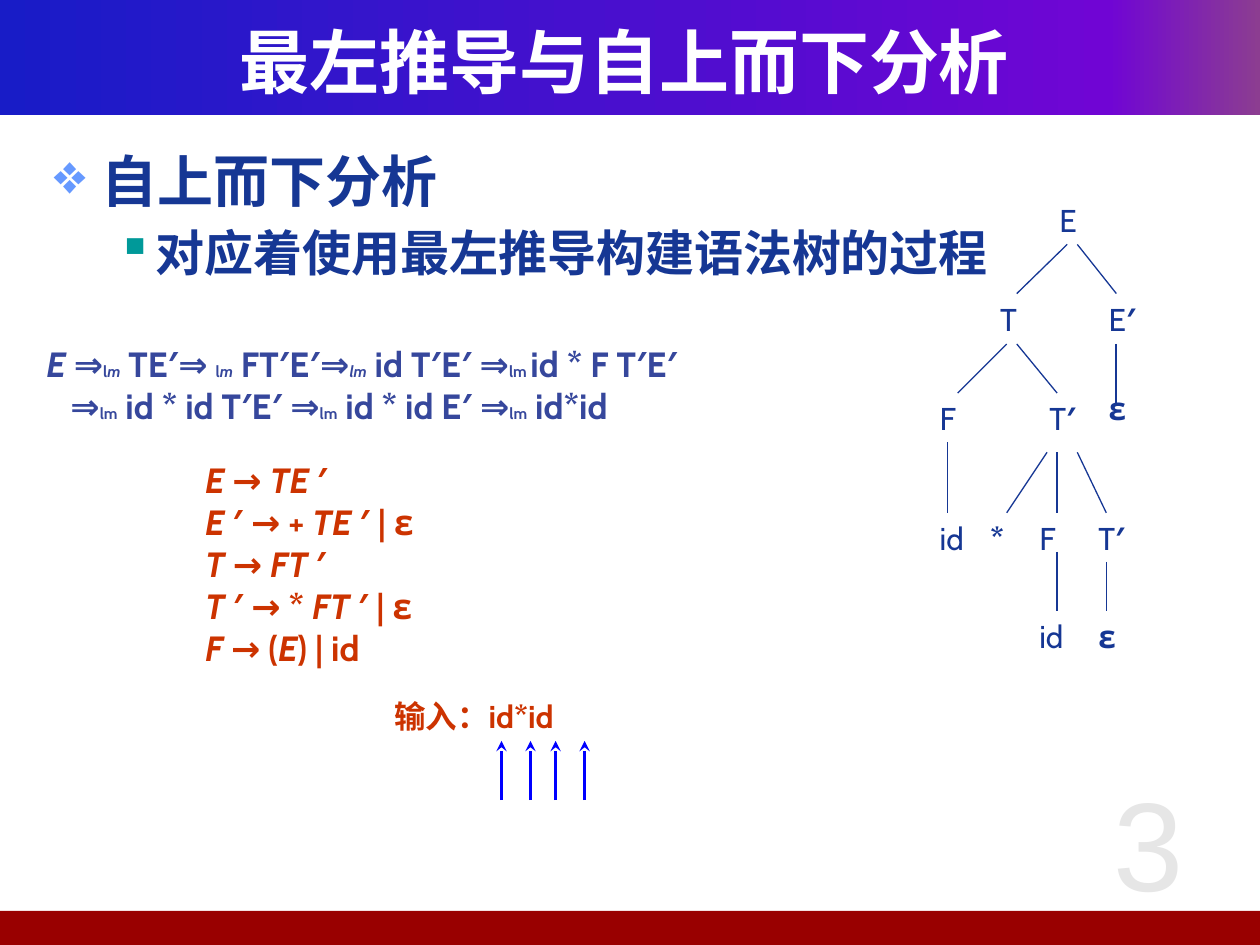
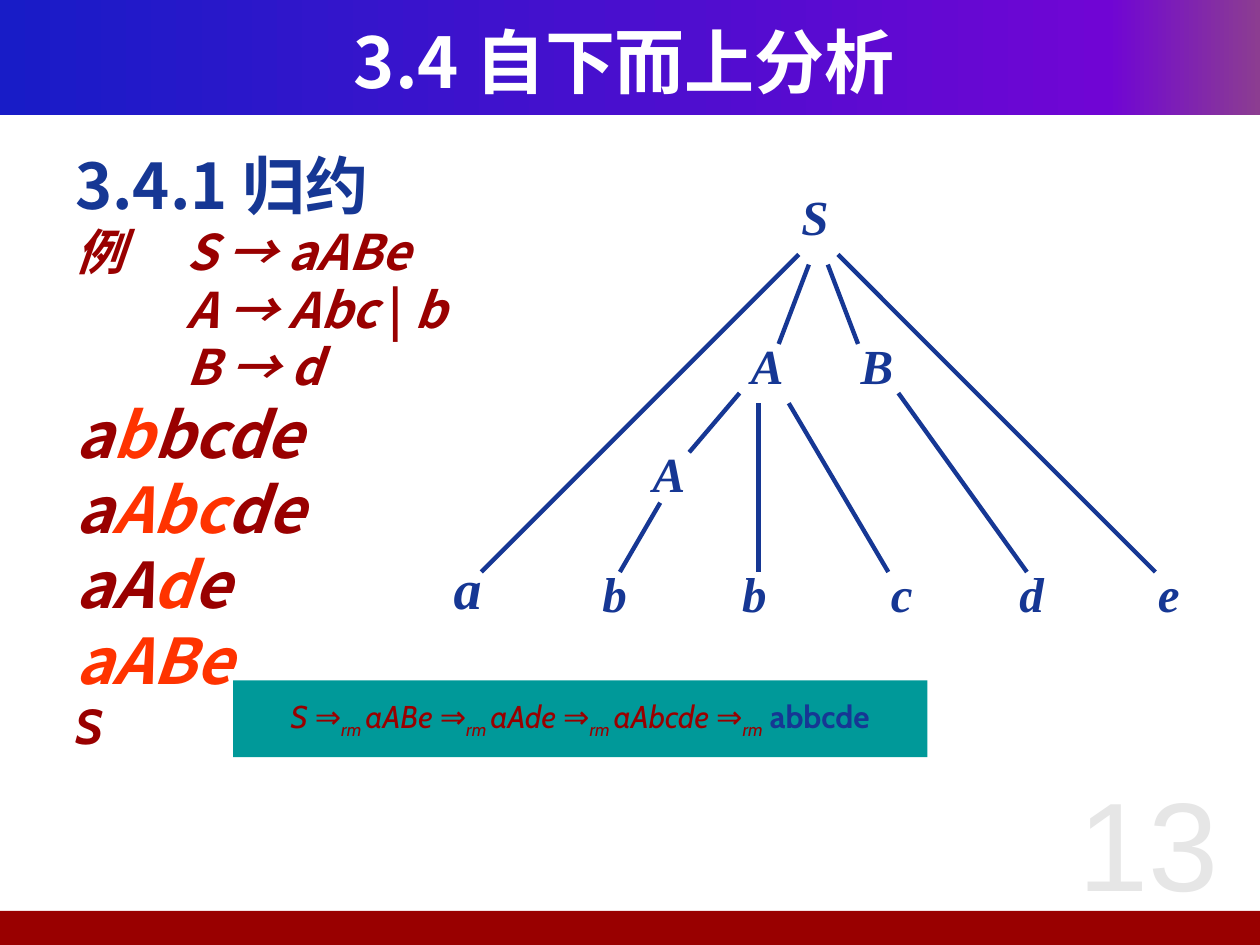
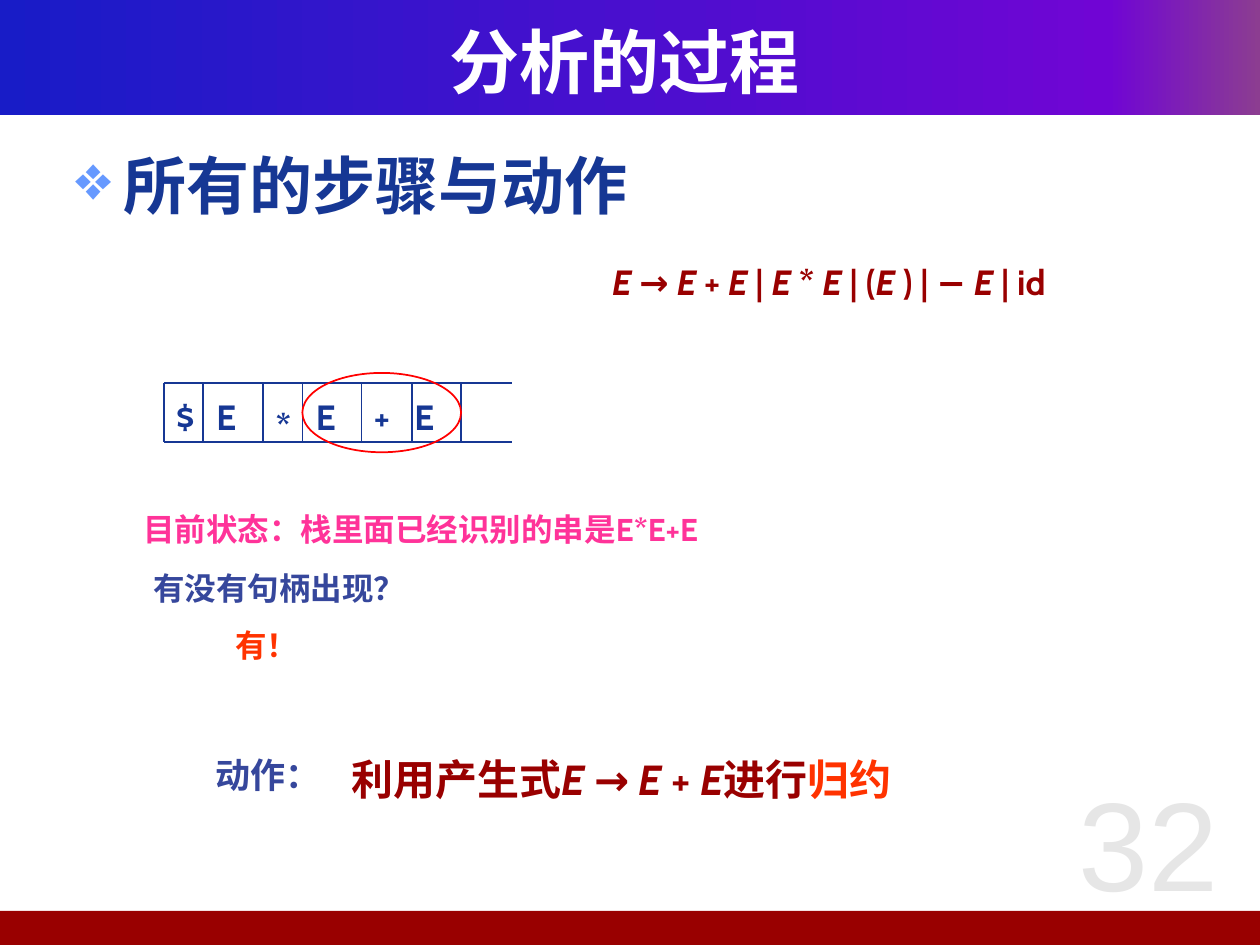
import copy

import pptx
import pptx.dml.color
import pptx.enum.shapes
import pptx.enum.text
import pptx.oxml.ns
import pptx.util
from lxml import etree

Inches = pptx.util.Inches
Pt = pptx.util.Pt
RGBColor = pptx.dml.color.RGBColor
qn = pptx.oxml.ns.qn
Align = pptx.enum.text.PP_ALIGN
Anchor = pptx.enum.text.MSO_ANCHOR
Shape = pptx.enum.shapes.MSO_SHAPE

WHITE = RGBColor(0xFF, 0xFF, 0xFF)
NAVY = RGBColor(0x16, 0x37, 0x94)
SLATE = RGBColor(0x36, 0x47, 0x9C)
BLUE = RGBColor(0x00, 0x00, 0xFF)
RED = RGBColor(0xFF, 0x00, 0x00)
DARK_RED = RGBColor(0x99, 0x00, 0x00)
RUST = RGBColor(0xCC, 0x33, 0x00)
ORANGE = RGBColor(0xFF, 0x33, 0x00)
PINK = RGBColor(0xFF, 0x33, 0x99)
TEAL = RGBColor(0x00, 0x99, 0x99)
SKY = RGBColor(0x66, 0x99, 0xFF)
PALE_GRAY = RGBColor(0xE6, 0xE6, 0xE6)
BAND_STOPS = [
    (0, RGBColor(0x18, 0x1C, 0xC7)),
    (0.88, RGBColor(0x70, 0x05, 0xD4)),
    (1, RGBColor(0x8C, 0x3D, 0x91)),
]

CJK = "Noto Sans CJK SC"
LATIN = "Cabin"
TITLE_FONT = {"name": CJK, "size": 40, "color": WHITE, "bold": True}
NUMBER_FONT = {"name": "Arial", "size": 72, "color": PALE_GRAY}
BODY_FONT = {"name": CJK, "size": 36, "color": NAVY, "bold": True}
NOTE_FONT = {"name": LATIN, "size": 18, "color": NAVY, "bold": True}
RULE_FONT = {"name": LATIN, "size": 20, "color": NAVY, "bold": True}
NODE_FONT = {"name": "Times New Roman", "size": 28, "color": NAVY, "bold": True, "italic": True}


def add_text(slide, box, paragraphs, font, align=Align.LEFT, anchor=Anchor.TOP,
             margins=(0.1, 0.05), fill=None):
    """Each paragraph is a list of strings or (string, font changes); "_" toggles italic."""
    place = [Inches(length) for length in box]
    if fill is None:
        shape = slide.shapes.add_textbox(*place)
    else:
        shape = slide.shapes.add_shape(Shape.RECTANGLE, *place)
        shape.shadow.inherit = False
        shape.fill.solid()
        shape.fill.fore_color.rgb = fill
        shape.line.fill.background()
    frame = shape.text_frame
    frame.word_wrap = True
    frame.vertical_anchor = anchor
    frame.margin_left = frame.margin_right = Inches(margins[0])
    frame.margin_top = frame.margin_bottom = Inches(margins[1])
    for index, pieces in enumerate(paragraphs):
        paragraph = frame.add_paragraph() if index else frame.paragraphs[0]
        paragraph.alignment = align
        for piece in pieces:
            text, changes = (piece, {}) if isinstance(piece, str) else piece
            look = {"bold": False, "italic": False, **font, **changes}
            for toggle, part in enumerate(text.split("_")):
                if not part:
                    continue
                run = paragraph.add_run()
                run.text = part
                values = {"name": look["name"], "size": Pt(look["size"]), "bold": look["bold"],
                          "italic": look["italic"] != bool(toggle % 2)}
                for attribute, value in values.items():
                    setattr(run.font, attribute, value)
                run.font.color.rgb = look["color"]
                properties = run._r.get_or_add_rPr()
                etree.SubElement(properties, qn("a:ea"), typeface=CJK)
                if "baseline" in look:
                    properties.set("baseline", str(look["baseline"]))
    return shape


def add_line(slide, start, end, color=NAVY, width=0.75, arrow=False):
    line = slide.shapes.add_connector(
        pptx.enum.shapes.MSO_CONNECTOR.STRAIGHT,
        *[Inches(length) for length in (*start, *end)])
    line.line.color.rgb = color
    line.line.width = Pt(width)
    if arrow:
        etree.SubElement(line.line._get_or_add_ln(), qn("a:tailEnd"), type="stealth")
    etree.SubElement(line._element.spPr, qn("a:effectLst"))


presentation = pptx.Presentation()
presentation.slide_width = Inches(10)
presentation.slide_height = Inches(7.5)

# Body rows: pieces, size, left margin, hanging indent, bullet, bullet colour
EXAMPLE = {"color": DARK_RED, "italic": True}
HANDLE = {"color": ORANGE, "italic": True}
example_rows = [
    ([("例\tS → aABe", EXAMPLE)], 28),
    ([("\t\tA → Abc _|_ b", EXAMPLE)], 28),
    ([("\t\tB → d", EXAMPLE)], 28),
    ([("a", EXAMPLE), ("b", HANDLE), ("bcde", EXAMPLE)], 36),
    ([("a", EXAMPLE), ("Abc", HANDLE), ("de", EXAMPLE)], 36),
    ([("aA", EXAMPLE), ("d", HANDLE), ("e", EXAMPLE)], 36),
    ([("aABe", HANDLE)], 36),
    ([("S", {**EXAMPLE, "name": LATIN})], 28),
]
contents = [
    ("3", "最左推导与自上而下分析", 0.33, [
        (["自上而下分析"], 32, 0.38, 0.38, "❖", SKY),
        (["对应着使用最左推导构建语法树的过程"], 28, 0.81, 0.31, "▪", TEAL),
    ]),
    ("13", "3.4 自下而上分析", 0.5,
     [(pieces, size, 0.38, 0.38, None, None)
      for pieces, size in [(["3.4.1 归约"], 36), *example_rows]]),
    ("32", "分析的过程", 0.5, [(["所有的步骤与动作"], 36, 0.38, 0.38, "❖", SKY)]),
]

slides = []
for number, title, body_left, rows in contents:
    slide = presentation.slides.add_slide(presentation.slide_layouts[6])
    slides.append(slide)
    slide.background.fill.solid()
    slide.background.fill.fore_color.rgb = WHITE

    band = slide.shapes.add_shape(Shape.RECTANGLE, 0, 0, Inches(10), Inches(0.91))
    footer = slide.shapes.add_shape(
        Shape.RECTANGLE, Inches(-0.04), Inches(7.23), Inches(10.04), Inches(0.27))
    for shape in (band, footer):
        shape.shadow.inherit = False
        shape.line.fill.background()
    footer.fill.solid()
    footer.fill.fore_color.rgb = DARK_RED
    band.fill.gradient()
    band.fill.gradient_angle = 0
    stop_list = band._element.spPr.find(".//" + qn("a:gsLst"))
    stop_list.append(copy.deepcopy(stop_list[1]))
    for stop, (position, color) in zip(band.fill.gradient_stops, BAND_STOPS):
        stop.position = position
        stop.color.rgb = color

    add_text(slide, (8.23, 6.03, 1.77, 1.42), [[number]], NUMBER_FONT, Align.CENTER)
    add_text(slide, (0.33, 0.17, 9.25, 0.62), [[title]], TITLE_FONT, Align.CENTER, Anchor.MIDDLE)

    paragraphs = [[(piece, {"size": row[1]}) if isinstance(piece, str)
                   else (piece[0], {"size": row[1], **piece[1]}) for piece in row[0]]
                  for row in rows]
    body = add_text(slide, (body_left, 1.12, 9, 5.69), paragraphs, BODY_FONT)
    for index, (paragraph, row) in enumerate(zip(body.text_frame.paragraphs, rows)):
        _, size, margin, hanging, bullet, bullet_color = row
        paragraph.line_spacing = Pt(round(1.19 * size))
        if bullet and index:
            paragraph.space_before = Pt(0.2 * size)
        properties = paragraph._p.get_or_add_pPr()
        properties.set("marL", str(Inches(margin)))
        properties.set("indent", str(-Inches(hanging)))
        if bullet:
            color = etree.SubElement(properties, qn("a:buClr"))
            etree.SubElement(color, qn("a:srgbClr"), val=str(bullet_color))
            etree.SubElement(properties, qn("a:buChar"), char=bullet)
        else:
            etree.SubElement(properties, qn("a:buNone"))

top_down, bottom_up, process = slides

# Top-down analysis: grammar, leftmost derivation, input and syntax tree
grammar = ["_E _→ _TE _′", "_E _′ → + _TE _′ | ε", "_T _→ _FT _′",
           "_T _′ → * _FT _′ | ε", "_F _→ (_E_) | id"]
add_text(top_down, (1.53, 3.59, 2.56, 1.77), [[rule] for rule in grammar],
         {**RULE_FONT, "color": RUST})
add_text(top_down, (3.03, 5.48, 1.77, 0.4), [["输入：id*id"]], {**NOTE_FONT, "color": RUST})

SMALL = {"size": 9}
derivation = add_text(top_down, (0.27, 2.67, 6.12, 0.77), [
    ["_E _⇒", ("l_m_", SMALL), " TE′⇒ ", ("l_m_", SMALL), " FT′E′⇒", ("_lm_", SMALL),
     " id T′E′ ⇒", ("lm ", SMALL), "id * F T′E′"],
    ["⇒", ("lm", SMALL), " id * id T′E′ ⇒", ("lm", SMALL), " id * id E′ ⇒",
     ("lm", SMALL), " id*id"],
], {**RULE_FONT, "color": SLATE})
derivation.text_frame.paragraphs[1]._p.get_or_add_pPr().set("marL", str(Inches(0.19)))

syntax_nodes = [
    (["E"], 8.31, 1.55), (["T"], 7.84, 2.33), (["E", "′"], 8.7, 2.33),
    (["F"], 7.36, 3.12), (["T", "′"], 8.23, 3.12), (["ε"], 8.7, 3.04),
    (["id"], 7.36, 4.07), (["*"], 7.76, 4.07), (["F"], 8.15, 4.07), (["T", "′"], 8.62, 4.07),
    (["id"], 8.15, 4.85), (["ε"], 8.62, 4.85),
]
for parts, left, top in syntax_nodes:
    pieces = [(part, {"bold": part in "′ε*"}) for part in parts]
    add_text(top_down, (left, top, 0.47, 0.4), [pieces], NOTE_FONT)

syntax_branches = [
    ((8.47, 1.94), (8.07, 2.33)), ((8.55, 1.94), (8.86, 2.33)),
    ((7.99, 2.73), (7.6, 3.12)), ((8.07, 2.73), (8.39, 3.12)),
    ((7.52, 3.51), (7.52, 4.07)), ((8.31, 3.59), (7.99, 4.07)),
    ((8.39, 3.59), (8.39, 4.07)), ((8.55, 3.59), (8.78, 4.07)),
    ((8.39, 4.38), (8.39, 4.85)), ((8.78, 4.46), (8.78, 4.85)),
]
for start, end in syntax_branches:
    add_line(top_down, start, end)
add_line(top_down, (8.86, 2.73), (8.86, 3.2), width=1)
for x in (3.98, 4.21, 4.41, 4.64):
    add_line(top_down, (x, 6.35), (x, 5.88), BLUE, 2, arrow=True)

# Bottom-up analysis: reduction tree and rightmost derivation
reduction_nodes = [
    ("S", 6.34, 1.47), ("A", 5.94, 2.65), ("B", 6.81, 2.65), ("A", 5.16, 3.51),
    ("a", 3.58, 4.38), ("b", 4.76, 4.46), ("b", 5.87, 4.46), ("c", 7.05, 4.46),
    ("d", 8.07, 4.46), ("e", 9.17, 4.46),
]
for letter, left, top in reduction_nodes:
    size = 32 if letter == "a" else 28
    add_text(bottom_up, (left, top, 0.45, 0.55), [[letter]], {**NODE_FONT, "size": size},
             margins=(0.02, 0.01))

reduction_branches = [
    ((6.34, 2.02), (3.82, 4.54)), ((6.65, 2.02), (9.17, 4.54)),
    ((6.42, 2.1), (6.18, 2.73)), ((6.57, 2.1), (6.81, 2.73)),
    ((5.87, 3.12), (5.47, 3.59)), ((6.02, 3.2), (6.02, 4.54)),
    ((6.26, 3.2), (7.05, 4.54)), ((7.13, 3.12), (8.15, 4.54)),
    ((5.24, 3.99), (4.92, 4.54)),
]
for start, end in reduction_branches:
    add_line(bottom_up, start, end, width=2.5)

steps = ["S ⇒"]
for form in ("aABe ⇒", "aAde ⇒", "aAbcde ⇒"):
    steps += [("rm ", {"baseline": -25000}), form]
steps += [("rm", {"baseline": -25000}),
          (" abbcde", {"color": NAVY, "bold": True, "italic": False})]
add_text(bottom_up, (1.85, 5.4, 5.51, 0.61), [steps],
         {**NOTE_FONT, "color": DARK_RED, "bold": False, "italic": True},
         Align.CENTER, Anchor.MIDDLE, fill=TEAL)

# Parsing process: stack, handle and action
stack_symbols = [("$", 1.3, 3.09), ("E", 1.62, 3.09), ("*", 2.09, 3.16),
                 ("E", 2.41, 3.09), ("+", 2.87, 3.09), ("E", 3.19, 3.09)]
for symbol, left, top in stack_symbols:
    add_text(process, (left, top, 0.4, 0.43), [[symbol]], RULE_FONT)
for y in (3.04, 3.51):
    add_line(process, (1.3, y), (4.06, y), width=1)
for x in (1.3, 1.61, 2.09, 2.4, 2.87, 3.27, 3.66):
    add_line(process, (x, 3.04), (x, 3.51), width=1)

process_notes = [
    ("目前状态：栈里面已经识别的串是E*E+E", (1.04, 4, 4.9, 0.4), 18, PINK),
    ("有没有句柄出现？", (1.12, 4.47, 3.17, 0.4), 18, SLATE),
    ("有！", (1.77, 4.92, 1.73, 0.4), 18, ORANGE),
    ("动作：", (1.61, 5.93, 1.1, 0.44), 20, SLATE),
    ("_E _→ _E _+_ E _| _E _* _E_ | (_E_ ) | − _E_ | id", (4.76, 2.02, 4.75, 0.43), 20, DARK_RED),
]
for text, box, size, color in process_notes:
    add_text(process, box, [[text]], {**NOTE_FONT, "size": size, "color": color})
add_text(process, (2.69, 5.93, 5.06, 0.5),
         [["利用产生式_E _→ _E _+_ E_进行", ("归约", {"color": ORANGE})]],
         {**NOTE_FONT, "size": 24, "color": DARK_RED})

handle_ring = process.shapes.add_shape(
    Shape.OVAL, Inches(2.4), Inches(2.96), Inches(1.26), Inches(0.63))
handle_ring.shadow.inherit = False
handle_ring.fill.background()
handle_ring.line.color.rgb = RED
handle_ring.line.width = Pt(1)

presentation.save("out.pptx")
